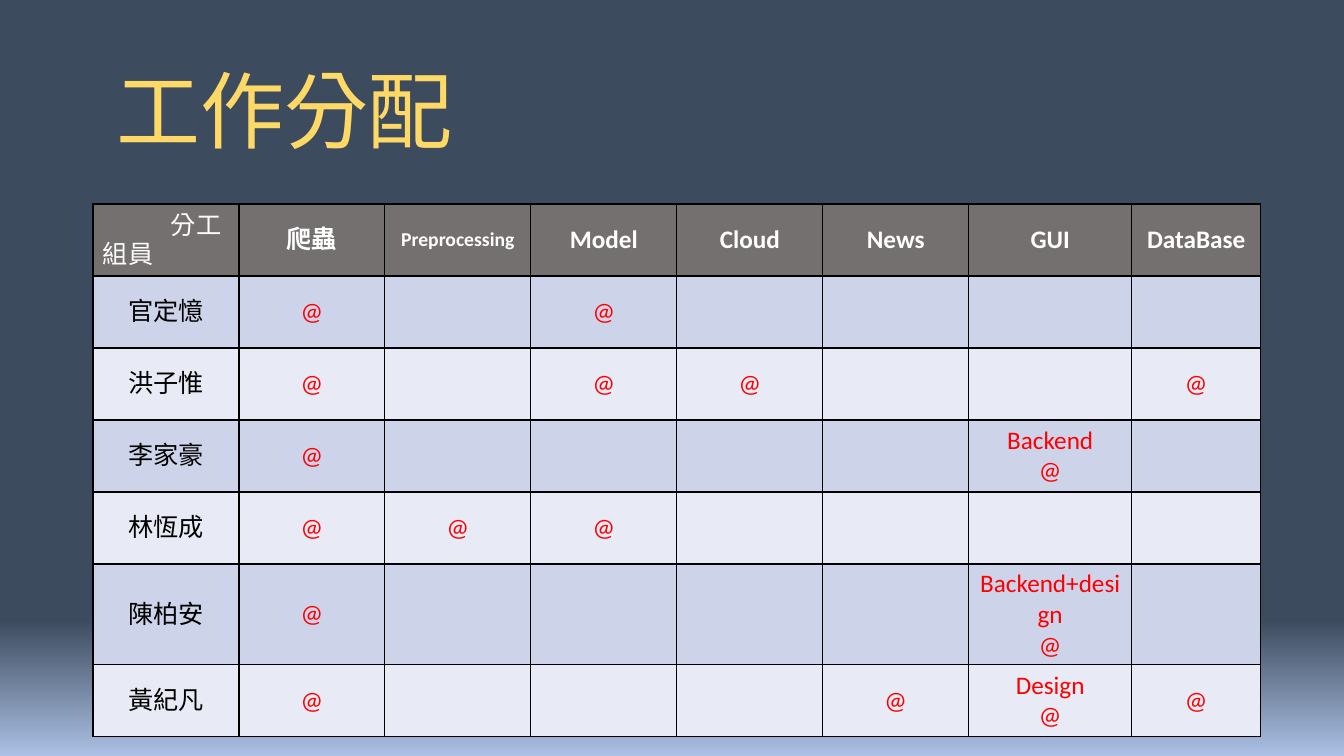
from lxml import etree
from pptx import Presentation
from pptx import util as u
from pptx.dml.color import RGBColor
from pptx.enum import text
from pptx.oxml import ns

PX = 914400 / 100.8

SKY = RGBColor(0x3D, 0x4B, 0x5E)
HORIZON = RGBColor(0xAB, 0xC0, 0xE4)
GOLD = RGBColor(0xFF, 0xD9, 0x66)
WHITE = RGBColor(0xFF, 0xFF, 0xFF)
BLACK = RGBColor(0, 0, 0)
RED = RGBColor(0xFF, 0, 0)
HEADER_GREY = RGBColor(0x75, 0x70, 0x70)
BANDS = (RGBColor(0xCD, 0xD4, 0xEA), RGBColor(0xE8, 0xEB, 0xF5))

COLUMN_WIDTHS = [146] * 6 + [163, 129]
ROW_HEIGHT = 72
TASKS = ["爬蟲", "Preprocessing", "Model", "Cloud", "News", "GUI", "DataBase"]
MARK = "@"
MEMBERS = {
    "官定憶": {"爬蟲": MARK, "Model": MARK},
    "洪子惟": {"爬蟲": MARK, "Model": MARK, "Cloud": MARK, "DataBase": MARK},
    "李家豪": {"爬蟲": MARK, "GUI": "Backend\n@"},
    "林恆成": {"爬蟲": MARK, "Preprocessing": MARK, "Model": MARK},
    "陳柏安": {"爬蟲": MARK, "GUI": "Backend+design\n@"},
    "黃紀凡": {"爬蟲": MARK, "News": MARK, "GUI": "Design\n@", "DataBase": MARK},
}


def px(length):
    return u.Emu(round(length * PX))


def paint_background(page):
    fill = page.background.fill
    fill.gradient()
    fill.gradient_angle = 270
    for stop, position, color in zip(fill.gradient_stops, (0.82, 1), (SKY, HORIZON)):
        stop.position = position
        stop.color.rgb = color


def write(frame, content, size, font, color, bold=False, align=text.PP_ALIGN.CENTER):
    """Fill a text frame and give Latin and East Asian letters the same font."""
    frame.text = content
    for para in frame.paragraphs:
        para.alignment = align
        for span in para.runs:
            span.font.name = font
            span.font.size = u.Pt(size)
            span.font.bold = bold
            span.font.color.rgb = color
            properties = span._r.get_or_add_rPr()
            properties.set("lang", "zh-TW")
            etree.SubElement(properties, ns.qn("a:ea"), typeface=font)


def add_text(page, left, top, width, height, content, size, font, color, **style):
    box = page.shapes.add_textbox(px(left), px(top), px(width), px(height))
    box.text_frame.word_wrap = True
    write(box.text_frame, content, size, font, color, **style)
    return box.text_frame


def add_borders(cell):
    properties = cell._tc.get_or_add_tcPr()
    for side in ("lnL", "lnR", "lnT", "lnB"):
        line = etree.SubElement(properties, ns.qn(f"a:{side}"), w=str(u.Pt(1)))
        fill = etree.SubElement(line, ns.qn("a:solidFill"))
        etree.SubElement(fill, ns.qn("a:srgbClr"), val=str(BLACK))


def fill_cell(cell, background, content, size, font, color, bold=False):
    add_borders(cell)
    cell.fill.solid()
    cell.fill.fore_color.rgb = background
    cell.vertical_anchor = text.MSO_ANCHOR.MIDDLE
    if content:
        write(cell.text_frame, content, size, font, color, bold)


def add_task_table(page, left, top):
    rows = len(MEMBERS) + 1
    table = page.shapes.add_table(
        rows, len(COLUMN_WIDTHS), px(left), px(top),
        px(sum(COLUMN_WIDTHS)), px(rows * ROW_HEIGHT)).table
    for column, width in zip(table.columns, COLUMN_WIDTHS):
        column.width = px(width)
    for column, task in enumerate([""] + TASKS):
        size = 14 if task == "Preprocessing" else 18
        fill_cell(table.cell(0, column), HEADER_GREY, task, size, "Calibri", WHITE, True)
    for row, (member, duties) in enumerate(MEMBERS.items(), 1):
        band = BANDS[(row - 1) % 2]
        fill_cell(table.cell(row, 0), band, member, 18, "Arial", BLACK)
        for column, task in enumerate(TASKS, 1):
            fill_cell(table.cell(row, column), band, duties.get(task, ""),
                      18, "Calibri", RED)


def main():
    deck = Presentation()
    deck.slide_width, deck.slide_height = px(1344), px(756)
    page = deck.slides.add_slide(deck.slide_layouts[6])
    paint_background(page)

    title = add_text(page, 84, 28, 401, 175, "工作分配", 60, "Noto Sans CJK TC", GOLD)
    title.vertical_anchor = text.MSO_ANCHOR.MIDDLE
    title.paragraphs[0].line_spacing = 0.9

    add_task_table(page, 93, 204)
    for left, top, label in ((161, 204, "分工"), (93, 233, "組員")):
        add_text(page, left, top, 100, 40, label, 18, "Arial", WHITE,
                 align=text.PP_ALIGN.LEFT)

    deck.save("out.pptx")


if __name__ == "__main__":
    main()
